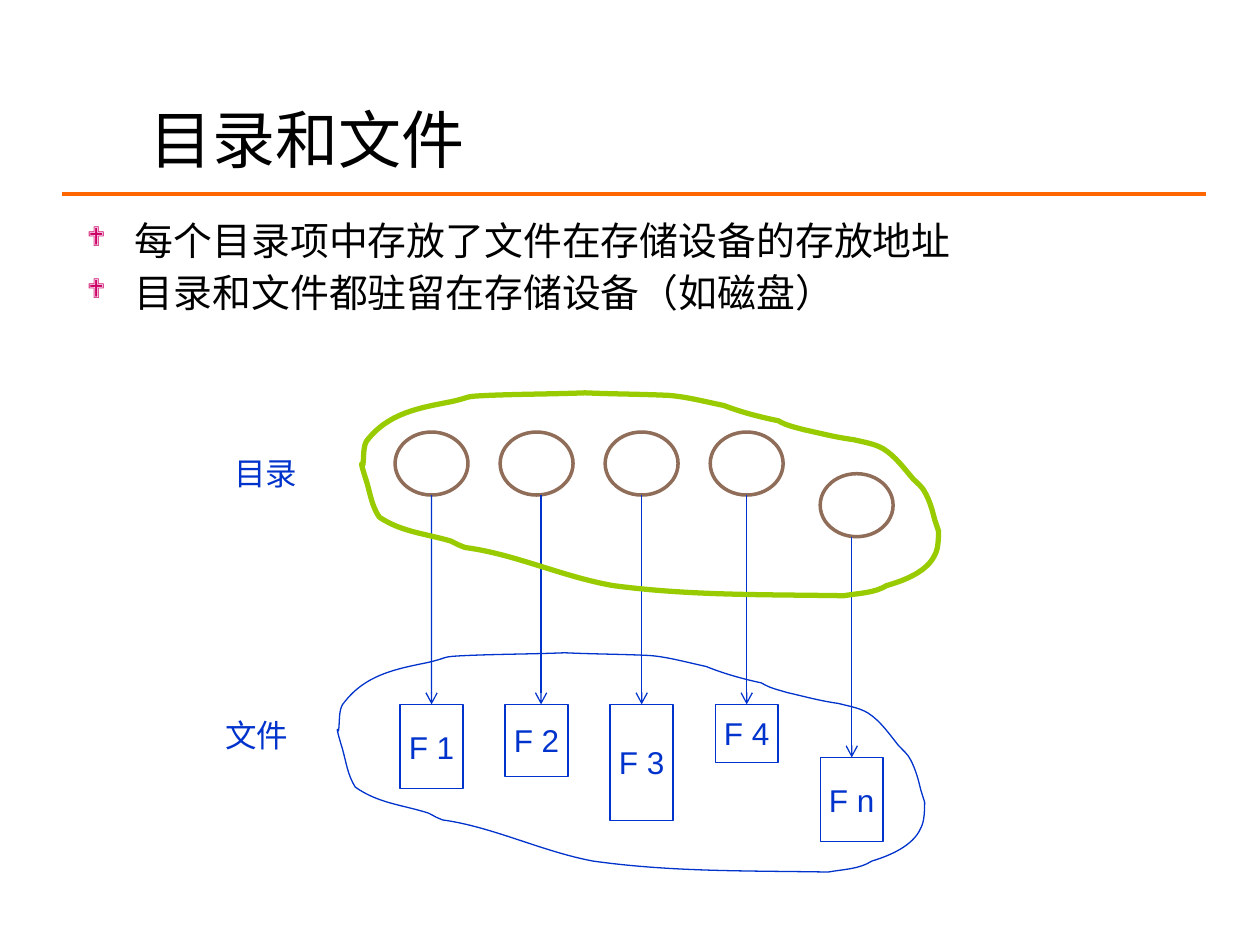
import pptx
import pptx.util
import pptx.dml.color
import pptx.enum.shapes
import pptx.enum.text
import pptx.oxml.ns
from lxml import etree

Cm, Pt = pptx.util.Cm, pptx.util.Pt
SHAPE = pptx.enum.shapes.MSO_SHAPE
ALIGN = pptx.enum.text.PP_ALIGN
MIDDLE = pptx.enum.text.MSO_ANCHOR.MIDDLE
qn = pptx.oxml.ns.qn

COLORS = {"text": "000000", "rule": "FF6600", "bullet": "CC0066", "white": "FFFFFF",
          "entry": "8F6D58", "file": "0033CC", "directory": "99CC00"}

# Cloud outline on a 457 x 160 grid: start, then (control, control, end) per curve
CLOUD_SIZE = (457, 160)
CLOUD_START = (1, 57)
CLOUD_CURVES = [
    (2, 51, 1, 43, 4, 38), (21, 16, 45, 12, 71, 7), (89, 3, 79, 3, 101, 2),
    (126, 1, 151, 1, 177, 0), (199, 1, 221, 1, 243, 2), (257, 3, 272, 7, 287, 10),
    (300, 15, 315, 19, 330, 22), (337, 26, 343, 27, 350, 29),
    (364, 32, 375, 35, 390, 37), (398, 39, 406, 40, 413, 44),
    (423, 50, 430, 60, 437, 68), (440, 71, 444, 74, 446, 78),
    (450, 85, 452, 92, 454, 100), (455, 103, 457, 109, 457, 109),
    (457, 114, 457, 123, 454, 128), (448, 141, 430, 148, 416, 152),
    (406, 158, 394, 158, 382, 160), (318, 159, 260, 160, 199, 152),
    (159, 145, 121, 127, 82, 122), (80, 121, 79, 121, 77, 120),
    (75, 119, 73, 118, 71, 117), (51, 111, 32, 110, 14, 98),
    (8, 89, 7, 80, 4, 70), (4, 70, 0, 58, 0, 56), (0, 55, 1, 57, 1, 57),
]

# Columns of the diagram, in cm
FIRST_CENTER, PITCH = 8.7, 8.47 / 4
ENTRY_W, ENTRY_H = 1.47, 1.27
FILE_W = 1.27
# file name, file height, shift of entry centre, shift of arrow start, entry top, file top
COLUMNS = [
    ("F 1", 1.7, 0, 0, 8.71, 14.2),
    ("F 2", 1.45, 0, 0.09, 8.71, 14.2),
    ("F 3", 2.34, 0, 0, 8.71, 14.2),
    ("F 4", 1.17, 0, 0, 8.71, 14.2),
    ("F n", 1.7, 0.1, 0, 9.55, 15.27),
]


def rgb(name):
    return pptx.dml.color.RGBColor.from_string(COLORS[name])


def style_font(paragraph, size, color):
    for run in paragraph.runs:
        run.font.name = "Arial"
        run.font.size = Pt(size)
        run.font.color.rgb = rgb(color)


def style_outline(shape, color, width):
    shape.shadow.inherit = False
    shape.line.color.rgb = rgb(color)
    shape.line.width = Pt(width)


def add_line(slide, x1, y1, x2, y2, color, width, arrow=False):
    line = slide.shapes.add_connector(pptx.enum.shapes.MSO_CONNECTOR.STRAIGHT,
                                      Cm(x1), Cm(y1), Cm(x2), Cm(y2))
    line.line.color.rgb = rgb(color)
    line.line.width = Pt(width)
    if arrow:
        etree.SubElement(line.line._get_or_add_ln(), qn("a:tailEnd"), type="arrow")
    etree.SubElement(line._element.spPr, qn("a:effectLst"))
    return line


def add_outlined(slide, kind, x, y, w, h, color, width):
    shape = slide.shapes.add_shape(kind, Cm(x), Cm(y), Cm(w), Cm(h))
    shape.fill.solid()
    shape.fill.fore_color.rgb = rgb("white")
    style_outline(shape, color, width)
    return shape


def set_centered_text(shape, text):
    frame = shape.text_frame
    frame.text = text
    frame.word_wrap = False
    frame.vertical_anchor = MIDDLE
    frame.paragraphs[0].alignment = ALIGN.CENTER
    style_font(frame.paragraphs[0], 18, "file")


def add_label(slide, text, x, y):
    set_centered_text(slide.shapes.add_textbox(Cm(x), Cm(y), Cm(1.78), Cm(1.02)), text)


def bend_segments(freeform):
    """Turn each three line segments into one cubic curve."""
    segments = list(freeform._element.iter(qn("a:lnTo")))
    for start in range(0, len(segments), 3):
        curve = etree.Element(qn("a:cubicBezTo"))
        segments[start].addprevious(curve)
        for segment in segments[start:start + 3]:
            curve.append(segment[0])
            segment.getparent().remove(segment)


def add_cloud(slide, x, y, w, h, color, width):
    grid = [CLOUD_START] + [curve[i:i + 2] for curve in CLOUD_CURVES for i in (0, 2, 4)]
    points = [(Cm(x + px * w / CLOUD_SIZE[0]), Cm(y + py * h / CLOUD_SIZE[1]))
              for px, py in grid]
    builder = slide.shapes.build_freeform(*points[0])
    builder.add_line_segments(points[1:], close=True)
    cloud = builder.convert_to_shape()
    bend_segments(cloud)
    cloud.fill.background()
    style_outline(cloud, color, width)


def set_title(slide, text):
    title = slide.shapes.title
    title.left, title.top, title.width, title.height = Cm(2.75), Cm(1.93), Cm(22.43), Cm(1.7)
    title.text_frame.text = text
    title.text_frame.vertical_anchor = MIDDLE
    title.text_frame.paragraphs[0].alignment = ALIGN.LEFT
    style_font(title.text_frame.paragraphs[0], 36, "text")


def add_bullets(slide, lines):
    frame = slide.shapes.add_textbox(Cm(1.5), Cm(4.34), Cm(22.4), Cm(2.39)).text_frame
    frame.word_wrap = True
    frame.text = "\n".join(lines)
    for index, paragraph in enumerate(frame.paragraphs):
        paragraph.line_spacing = 0.9
        if index:
            paragraph.space_before = Pt(6)
        props = paragraph._p.get_or_add_pPr()
        props.set("marL", str(Cm(0.97)))
        props.set("indent", str(-Cm(0.97)))
        bullet_color = etree.SubElement(props, qn("a:buClr"))
        etree.SubElement(bullet_color, qn("a:srgbClr"), val=COLORS["bullet"])
        etree.SubElement(props, qn("a:buSzPct"), val="70000")
        etree.SubElement(props, qn("a:buFont"), typeface="Wingdings", charset="2")
        etree.SubElement(props, qn("a:buChar"), char="❖")
        style_font(paragraph, 22.2, "text")


def add_columns(slide):
    centers = [FIRST_CENTER + i * PITCH for i in range(len(COLUMNS))]
    # Directory entries
    for center, (_, _, shift, _, entry_top, _) in zip(centers, COLUMNS):
        add_outlined(slide, SHAPE.OVAL, center + shift - ENTRY_W / 2, entry_top,
                     ENTRY_W, ENTRY_H, "entry", 2)
    # Files
    files = []
    for center, (name, height, _, _, _, file_top) in zip(centers, COLUMNS):
        file = add_outlined(slide, SHAPE.RECTANGLE, center - FILE_W / 2, file_top,
                            FILE_W, height, "file", 0.75)
        set_centered_text(file, name)
        files.append(file)
    # Arrows from entry to file
    for center, file, (_, _, _, shift, entry_top, file_top) in zip(centers, files, COLUMNS):
        x = center + shift
        arrow = add_line(slide, x, entry_top + ENTRY_H, x, file_top, "file", 0.75, arrow=True)
        if not shift:
            arrow.end_connect(file, 0)


def main():
    deck = pptx.Presentation()
    deck.slide_width, deck.slide_height = Cm(25.4), Cm(19.05)
    slide = deck.slides.add_slide(deck.slide_layouts[5])

    # Heading and bullets
    add_line(slide, 1.24, 3.91, 24.31, 3.91, "rule", 2.25)
    set_title(slide, "目录和文件")
    add_bullets(slide, ["每个目录项中存放了文件在存储设备的存放地址",
                        "目录和文件都驻留在存储设备（如磁盘）"])

    # Diagram
    add_columns(slide)
    add_cloud(slide, 7.29, 7.92, 11.63, 4.09, "directory", 3)
    add_cloud(slide, 6.8, 13.16, 11.84, 4.42, "file", 0.75)
    add_label(slide, "目录", 4.47, 9.02)
    add_label(slide, "文件", 4.29, 14.3)

    deck.save("out.pptx")


if __name__ == "__main__":
    main()
